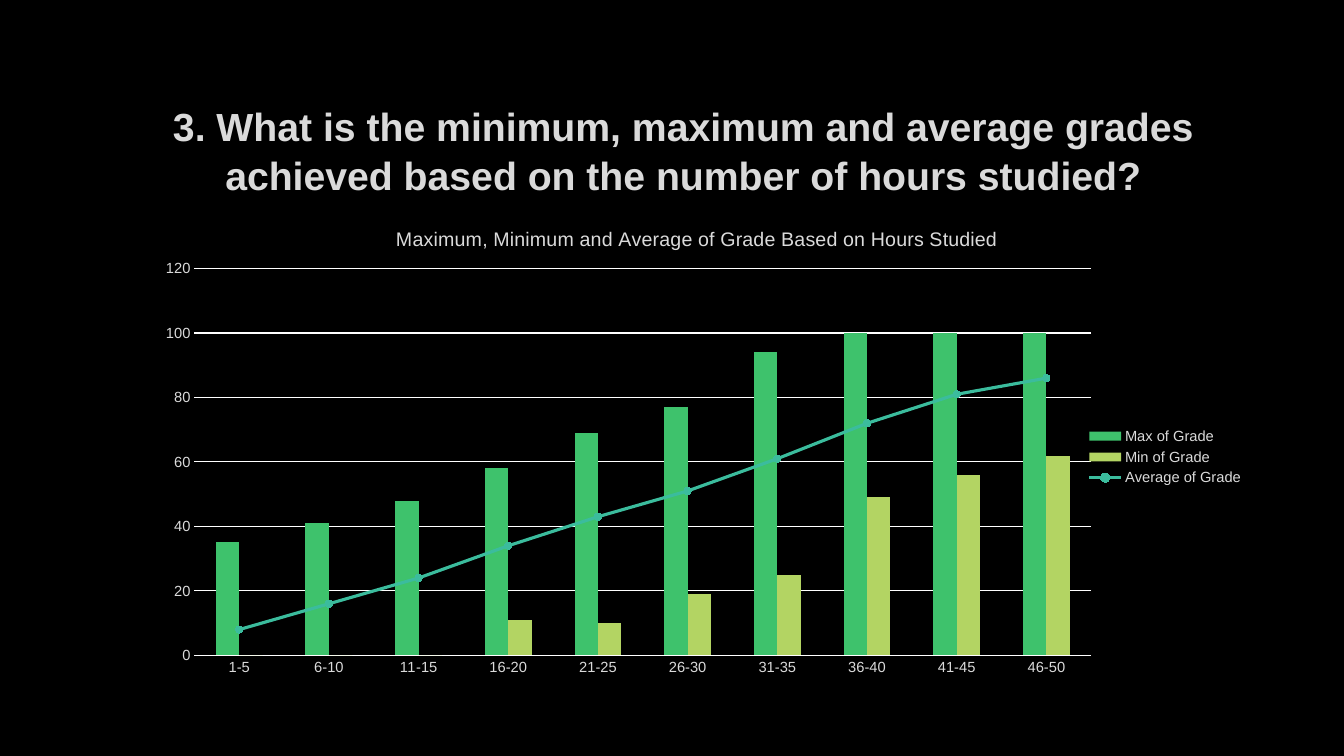
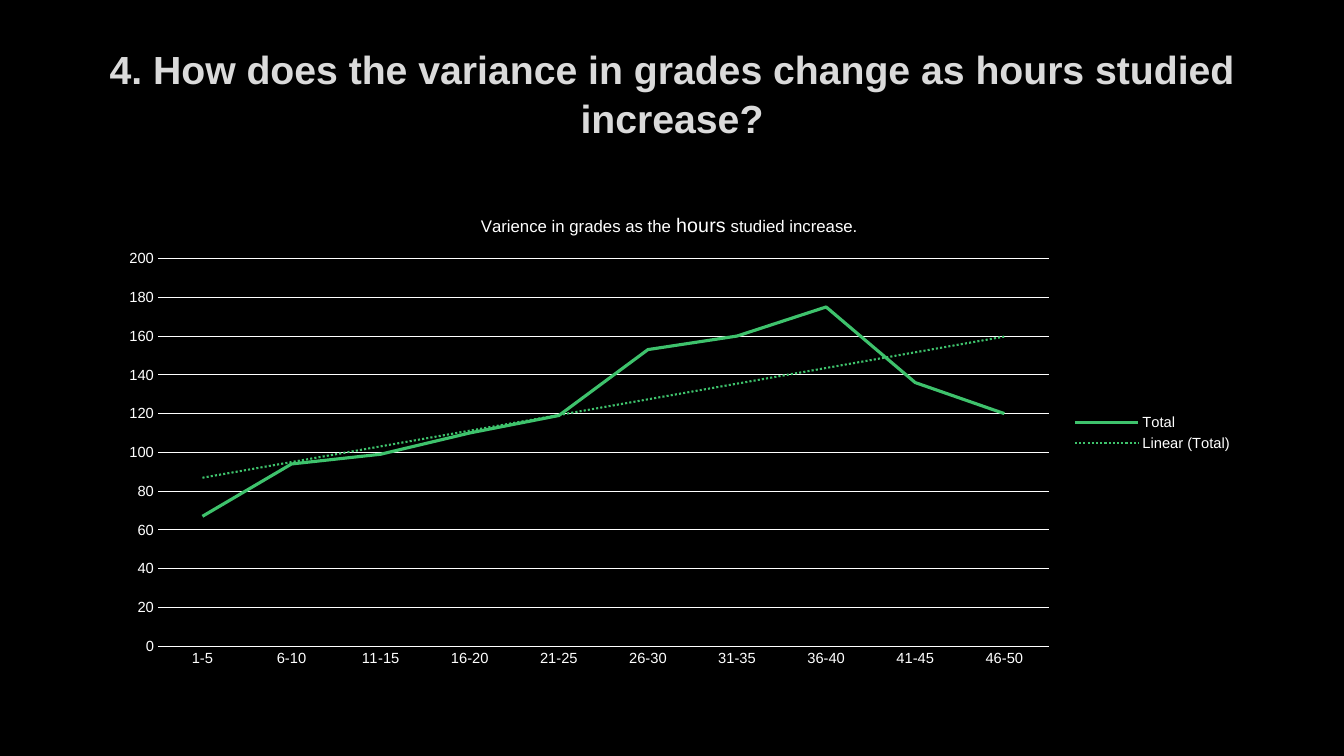
from lxml import etree
from pptx import Presentation
from pptx.chart.data import CategoryChartData
from pptx.dml.color import RGBColor
from pptx.enum.chart import XL_CHART_TYPE, XL_LEGEND_POSITION, XL_MARKER_STYLE, XL_TICK_MARK
from pptx.enum.text import MSO_ANCHOR, PP_ALIGN
from pptx.oxml import parse_xml
from pptx.util import Inches, Pt

BARS, LINE = XL_CHART_TYPE.COLUMN_CLUSTERED, XL_CHART_TYPE.LINE
RIGHT, DOT, NONE = XL_LEGEND_POSITION.RIGHT, XL_MARKER_STYLE.CIRCLE, XL_TICK_MARK.NONE
MID, CENTER = MSO_ANCHOR.MIDDLE, PP_ALIGN.CENTER
FONT = "Arial"
INK = {"back": "000000", "pale": "DADADA", "white": "FFFFFF",
       "green": "3EC26C", "lime": "B3D463", "teal": "3BBC9D"}
NS = "http://schemas.openxmlformats.org/drawingml/2006/chart"
DRAW = "http://schemas.openxmlformats.org/drawingml/2006/main"
C = "{%s}" % NS


def write(para, text, size, ink, bold=False):
    run = para.add_run()
    run.text = text
    run.font.name, run.font.size, run.font.bold = FONT, Pt(size), bold
    run.font.color.rgb = RGBColor.from_string(INK[ink])


def layout(target=None, **share):
    box = etree.Element(C + "layout")
    man = etree.SubElement(box, C + "manualLayout")
    if target:
        etree.SubElement(man, C + "layoutTarget", val=target)
    for key in "xy":
        etree.SubElement(man, C + key + "Mode", val="edge")
    for key, part in share.items():
        etree.SubElement(man, C + key, val=str(part))
    return box


deck = Presentation()
deck.slide_width, deck.slide_height = Inches(13.33), Inches(7.5)
COL, ROW = deck.slide_width / 120, deck.slide_height / 90
fill = deck.slide_master.background.fill
fill.solid()
fill.fore_color.rgb = RGBColor.from_string(INK["back"])

HOURS = ["1-5"] + [f"{n + 1}-{n + 5}" for n in range(5, 50, 5)]
PAGES = [
    dict(title="3. What is the minimum, maximum and average grades achieved based on the number of hours studied?",
         head=(10, 11.4, 102, 12.7), kind=BARS, spot=(8, 24.1, 104, 60.6), ink="pale", top=120,
         name=[("Maximum, Minimum and Average of Grade Based on Hours Studied", 14)],
         label=dict(x=0.26, y=0.04), plot=dict(x=0.09, y=0.13, w=0.77, h=0.76),
         rows=[("Max of Grade", "green", (35, 41, 48, 58, 69, 77, 94, 100, 100, 100)),
               ("Min of Grade", "lime", (0, 0, 0, 11, 10, 19, 25, 49, 56, 62)),
               ("Average of Grade", "teal", (8, 16, 24, 34, 43, 51, 61, 72, 81, 86))]),
    dict(title="4. How does the variance in grades change as hours studied increase?",
         head=(9, 4.7, 102, 12.7), kind=LINE, spot=(9, 22.7, 102, 57.7), ink="white", top=200,
         name=[("Varience in grades as the ", 12), ("hours", 14), (" studied increase.", 12)],
         label=dict(x=0.33, y=0.04), plot=dict(x=0.05, y=0.14, w=0.78, h=0.8),
         rows=[("Total", "green", (67, 94, 99, 110, 119, 153, 160, 175, 136, 120))]),
]

charts = []
for page in PAGES:
    slide = deck.slides.add_slide(deck.slide_layouts[6])
    x, y, w, h = page["head"]
    frame = slide.shapes.add_textbox(int(x * COL), int(y * ROW), int(w * COL), int(h * ROW)).text_frame
    frame.word_wrap, frame.vertical_anchor = True, MID
    frame.margin_left = frame.margin_right = 0
    para = frame.paragraphs[0]
    para.alignment, para.line_spacing = CENTER, 1.04
    write(para, page["title"], size=28, ink="pale", bold=True)

    data = CategoryChartData()
    data.categories = HOURS
    for name, ink, vals in page["rows"]:
        data.add_series(name, vals)
    x, y, w, h = page["spot"]
    chart = slide.shapes.add_chart(page["kind"], int(x * COL), int(y * ROW),
                                   int(w * COL), int(h * ROW), data).chart
    charts.append(chart)
    chart.font.name, chart.font.size = FONT, Pt(10.5)
    chart.font.color.rgb = RGBColor.from_string(INK[page["ink"]])
    chart.has_legend = True
    chart.legend.position, chart.legend.include_in_layout = RIGHT, False

    label = chart.chart_title
    for text, size in page["name"]:
        write(label.text_frame.paragraphs[0], text, size=size, ink=page["ink"])
    label.include_in_layout = False
    area = chart.plots[0]
    area.vary_by_categories = False
    zone = chart.element.find(f".//{C}plotArea")
    for node in label.element.findall(C + "layout") + zone.findall(C + "layout"):
        node.getparent().remove(node)
    label.element.find(C + "tx").addnext(layout(**page["label"]))
    zone.insert(0, layout("inner", **page["plot"]))

    base, side = chart.category_axis, chart.value_axis
    for axis in base, side:
        axis.major_tick_mark = axis.minor_tick_mark = NONE
    side.minimum_scale, side.maximum_scale, side.major_unit = 0, page["top"], 20
    side.format.line.fill.background()
    side.has_major_gridlines = True
    for line in base.format.line, side.major_gridlines.format.line:
        line.color.rgb = RGBColor.from_string(INK["white"])
        line.width = Pt(0.75)

    if page["kind"] == BARS:
        area.gap_width, area.overlap = 182, 0
        last = area.series[2]._element
        for node in last.findall(C + "invertIfNegative"):
            last.remove(node)
        bars = zone.find(C + "barChart")
        curve = parse_xml(f'<c:lineChart xmlns:c="{NS}"><c:grouping val="standard"/>'
                          '<c:varyColors val="0"/><c:marker val="1"/></c:lineChart>')
        curve.insert(2, last)
        for node in bars.findall(C + "axId"):
            etree.SubElement(curve, C + "axId", val=node.get("val"))
        bars.addnext(curve)

    rows = [row for part in chart.plots for row in part.series]
    for row, (name, ink, vals) in zip(rows, page["rows"]):
        tint = RGBColor.from_string(INK[ink])
        if name in ("Average of Grade", "Total"):
            row.smooth = False
            row.format.line.color.rgb = tint
            row.format.line.width = Pt(2.25)
        else:
            row.format.fill.solid()
            row.format.fill.fore_color.rgb = tint
        if name == "Average of Grade":
            row.marker.style, row.marker.size = DOT, 5
            row.marker.format.fill.solid()
            row.marker.format.fill.fore_color.rgb = tint
            row.marker.format.line.color.rgb = tint

total = charts[1].plots[0].series[0]._element
total.find(C + "cat").addprevious(parse_xml(
    f'<c:trendline xmlns:c="{NS}" xmlns:a="{DRAW}"><c:name>Linear (Total)</c:name>'
    f'<c:spPr><a:ln w="19050"><a:solidFill><a:srgbClr val="{INK["green"]}"/></a:solidFill>'
    '<a:prstDash val="sysDot"/></a:ln></c:spPr><c:trendlineType val="linear"/>'
    '<c:dispRSqr val="0"/><c:dispEq val="0"/></c:trendline>'))

deck.save("out.pptx")
